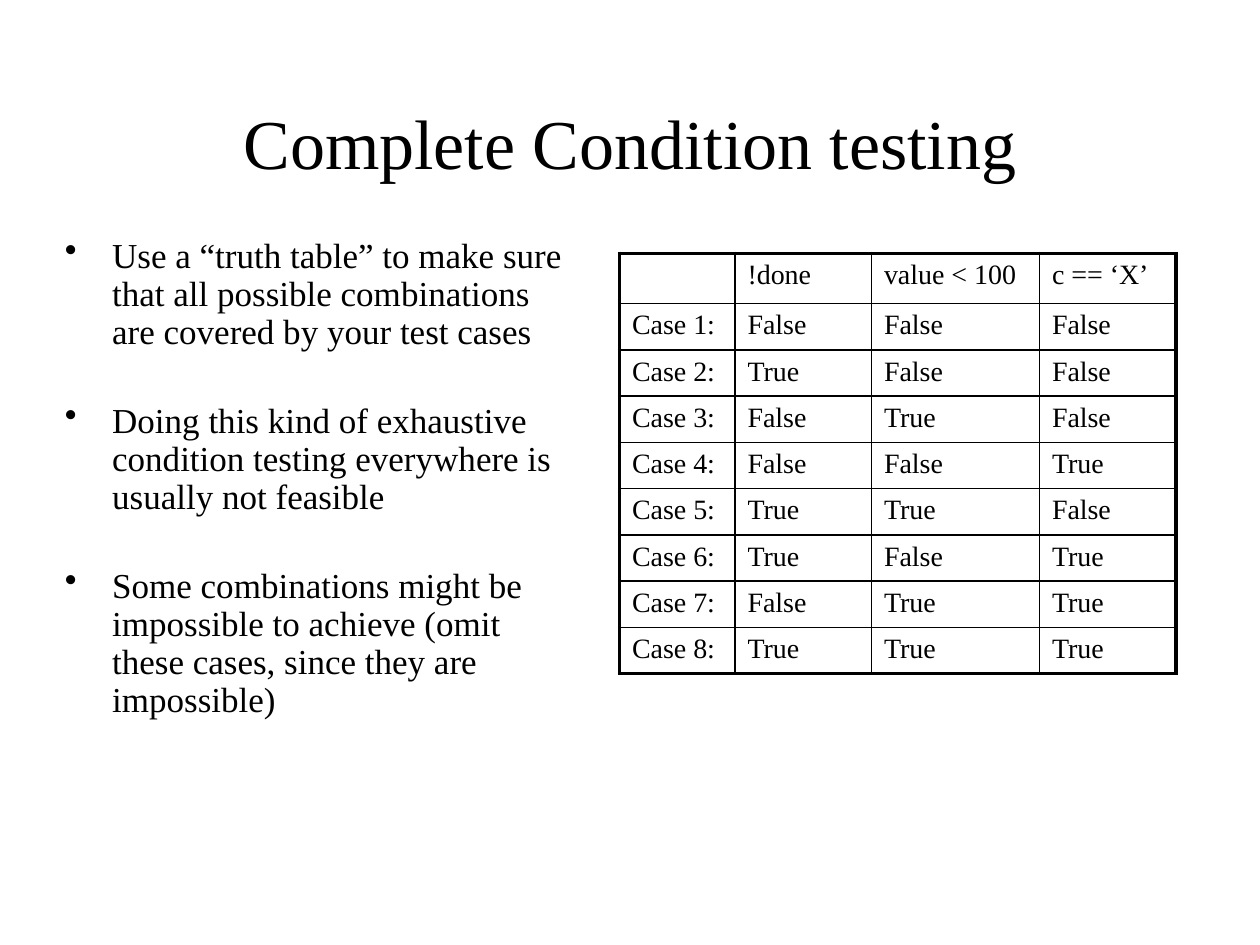
"""Build a slide on complete condition testing with a truth table."""
from dataclasses import dataclass

from lxml.etree import SubElement
from pptx import Presentation
from pptx.dml.color import RGBColor
from pptx.enum.text import MSO_ANCHOR, PP_ALIGN
from pptx.oxml.ns import qn
from pptx.util import Pt


@dataclass(frozen=True)
class Theme:
    font: str = "Times New Roman"
    ink: str = "000000"
    title: float = 40
    body: float = 20
    cell: float = 16
    leading: float = 21.75
    gap: float = 29
    indent: float = 27
    thin: float = 1
    thick: float = 2.25


THEME = Theme()
BULLETS = [
    "Use a “truth table” to make sure that all possible combinations "
    "are covered by your test cases",
    "Doing this kind of exhaustive condition testing everywhere is "
    "usually not feasible",
    "Some combinations might be impossible to achieve (omit these cases, "
    "since they are impossible)",
]
HEADER = ["", "!done", "value < 100", "c == ‘X’"]
CASES = ["FFF", "TFF", "FTF", "FFT", "TTF", "TFT", "FTT", "TTT"]
WORDS = {"T": "True", "F": "False"}
COLUMNS = [66, 78, 96, 78]
HEADER_HEIGHT, CASE_HEIGHT = 28.8, 25


def style_runs(p, size):
    for r in p.runs:
        r.font.name = THEME.font
        r.font.size = Pt(size)
        r.font.color.rgb = RGBColor.from_string(THEME.ink)


def add_title(slide, text, left, top, width, height):
    sp = slide.shapes.title
    sp.left, sp.top, sp.width, sp.height = map(Pt, (left, top, width, height))
    tf = sp.text_frame
    tf.text = text
    tf.vertical_anchor = MSO_ANCHOR.MIDDLE
    p = tf.paragraphs[0]
    p.alignment = PP_ALIGN.CENTER
    style_runs(p, THEME.title)


def add_bullets(slide, items, left, top, width, height):
    sp = slide.shapes.add_textbox(*map(Pt, (left, top, width, height)))
    tf = sp.text_frame
    tf.word_wrap = True
    for i, item in enumerate(items):
        p = tf.add_paragraph() if i else tf.paragraphs[0]
        p.text = item
        p.line_spacing = Pt(THEME.leading)
        p.space_before = Pt(THEME.gap if i else 0)
        pPr = p._p.get_or_add_pPr()
        pPr.set("marL", str(Pt(THEME.indent)))
        pPr.set("indent", str(-Pt(THEME.indent)))
        SubElement(pPr, qn("a:buChar"), char="•")
        style_runs(p, THEME.body)


def set_borders(cell, thick_sides):
    tcPr = cell._tc.get_or_add_tcPr()
    for side in "LRTB":
        width = THEME.thick if side in thick_sides else THEME.thin
        ln = SubElement(tcPr, qn(f"a:ln{side}"), w=str(Pt(width)))
        fill = SubElement(ln, qn("a:solidFill"))
        SubElement(fill, qn("a:srgbClr"), val=THEME.ink)


def add_truth_table(slide, rows, left, top):
    heights = [HEADER_HEIGHT] + [CASE_HEIGHT] * (len(rows) - 1)
    frame = slide.shapes.add_table(
        len(rows), len(COLUMNS),
        *map(Pt, (left, top, sum(COLUMNS), sum(heights))))
    table = frame.table
    table.first_row = table.horz_banding = False
    for column, width in zip(table.columns, COLUMNS):
        column.width = Pt(width)
    for i, (row, height) in enumerate(zip(rows, heights)):
        table.rows[i].height = Pt(height)
        for j, text in enumerate(row):
            cell = table.cell(i, j)
            cell.text = text
            style_runs(cell.text_frame.paragraphs[0], THEME.cell)
            edges = {"L": j == 0, "R": j == len(row) - 1,
                     "T": i == 0, "B": i == len(rows) - 1}
            set_borders(cell, [side for side, outer in edges.items() if outer])
            cell.fill.background()


def main():
    prs = Presentation()
    prs.slide_width, prs.slide_height = Pt(720), Pt(540)
    slide = prs.slides.add_slide(prs.slide_layouts[5])
    add_title(slide, "Complete Condition testing", 54, 36, 612, 90)
    add_bullets(slide, BULLETS, 30, 132, 300, 290)
    rows = [HEADER] + [[f"Case {n}:"] + [WORDS[v] for v in case]
                       for n, case in enumerate(CASES, 1)]
    add_truth_table(slide, rows, 354, 144.7)
    prs.save("out.pptx")


main()
